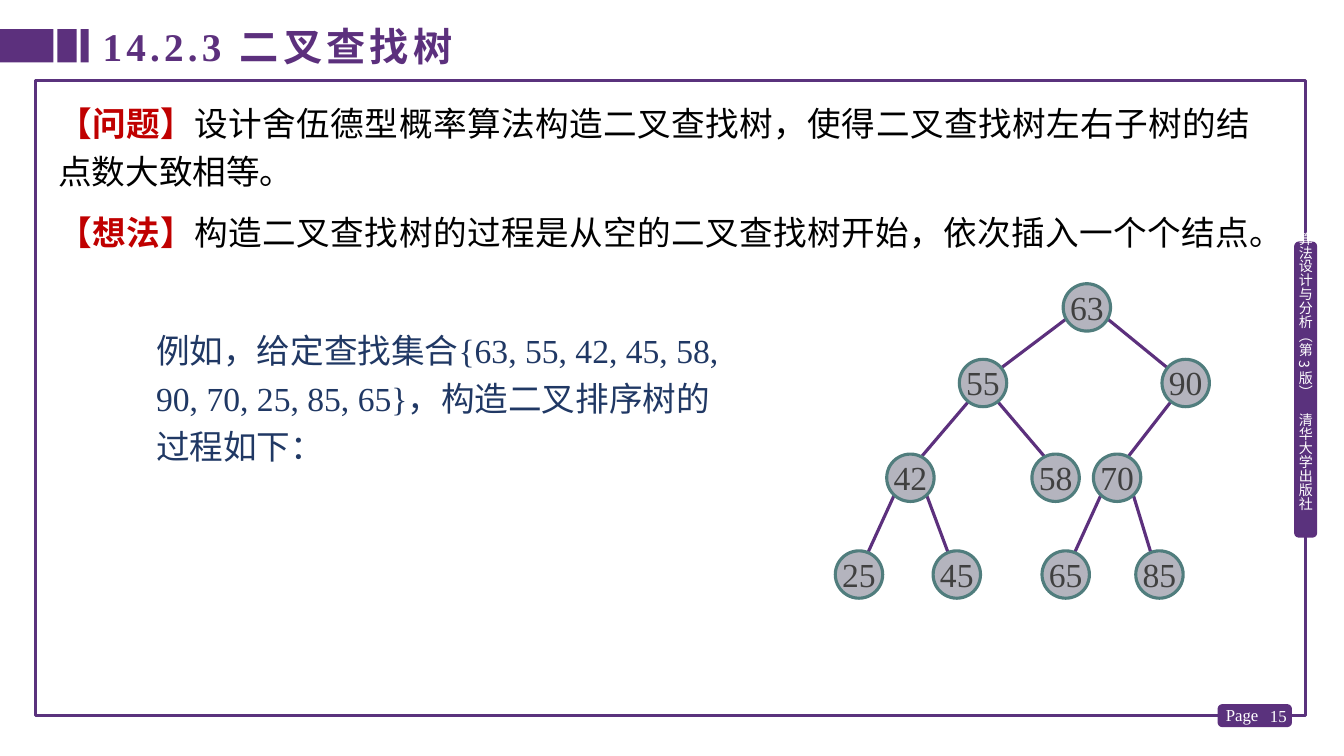
from pptx import Presentation
from pptx.dml.color import RGBColor
from pptx.enum.shapes import MSO_CONNECTOR as Conn, MSO_SHAPE as Kind
from pptx.enum.text import MSO_ANCHOR as Anchor, MSO_AUTO_SIZE as Fit, PP_ALIGN as Align
from pptx.oxml.ns import qn
from pptx.util import Inches, Pt
from lxml import etree

HUE = {"frame": "5A327D", "band": "5C307D", "node": "B4B4BE", "ring": "507D7D",
       "key": "404040", "tag": "C00000", "body": "000000", "note": "203864",
       "white": "FFFFFF"}
SERIF, SANS = "Times New Roman", "Noto Sans CJK SC"

TITLE = "14.2.3 二叉查找树"
PARTS = [
    ("【问题】", "设计舍伍德型概率算法构造二叉查找树，使得二叉查找树左右子树的结点数大致相等。", 0.89, 1.07),
    ("【想法】", "构造二叉查找树的过程是从空的二叉查找树开始，依次插入一个个结点。", 1.97, 0.58),
]
NOTE = "例如，给定查找集合{63, 55, 42, 45, 58, 90, 70, 25, 85, 65}，构造二叉排序树的过程如下："
SIDE = "算法设计与分析（第 3 版）　清华大学出版社"
BARS = [(0, 0.53), (0.57, 0.19), (0.8, 0.08)]

SIZE = 0.47
ROWS = [3.05, 3.8, 4.74, 5.7]
TREE = [
    {63: 10.78},
    {55: 9.75, 90: 11.76},
    {42: 9.03, 58: 10.47, 70: 11.08},
    {25: 8.52, 45: 9.49, 65: 10.57, 85: 11.5},
]
HEIR = {63: (55, 90), 55: (42, 58), 90: (70,), 42: (25, 45), 70: (65, 85)}
ENDS = [(0.2, 0.11, 0.18, 0.15), (0.15, 0.19, 0.11, 0.21), (0.16, 0.17, 0.08, 0.2)]

deck = Presentation()
deck.slide_width, deck.slide_height = Inches(13.33), Inches(7.5)
slide = deck.slides.add_slide(deck.slide_layouts[6])


def tint(name):
    return RGBColor.from_string(HUE[name])


def style(font, size, hue, face=SERIF, bold=False):
    font.size, font.name, font.bold = Pt(size), face, bold
    font.color.rgb = tint(hue)


def draw(kind, box, fill=None, line=None, width=2.25):
    shape = slide.shapes.add_shape(kind, *map(Inches, box))
    shape.shadow.inherit = False
    if fill:
        shape.fill.solid()
        shape.fill.fore_color.rgb = tint(fill)
    else:
        shape.fill.background()
    if line:
        shape.line.color.rgb = tint(line)
        shape.line.width = Pt(width)
    else:
        shape.line.fill.background()
    return shape


def bare(frame):
    frame.margin_left = frame.margin_right = 0
    frame.margin_top = frame.margin_bottom = 0


def write(box, text, size, hue, face=SERIF, bold=False, align=Align.LEFT):
    frame = slide.shapes.add_textbox(*map(Inches, box)).text_frame
    frame.word_wrap = True
    para = frame.paragraphs[0]
    para.text, para.alignment = text, align
    style(para.font, size, hue, face, bold)
    return frame


def link(start, end):
    edge = slide.shapes.add_connector(Conn.STRAIGHT, *map(Inches, start + end))
    edge.line.color.rgb = tint("band")
    edge.line.width = Pt(2.25)
    etree.SubElement(edge._element.spPr, qn("a:effectLst"))


draw(Kind.RECTANGLE, (0.35, 0.8, 12.6, 6.3), line="frame")
draw(Kind.ROUNDED_RECTANGLE, (12.09, 7, 0.71, 0.2), "frame", "band", 2)
page = write((12.45, 6.9, 0.41, 0.4), "15", 12, "white", align=Align.RIGHT)
page.vertical_anchor = Anchor.MIDDLE
write((12.06, 6.94, 0.53, 0.31), "Page", 12, "white")
for left, wide in BARS:
    draw(Kind.RECTANGLE, (left, 0.29, wide, 0.33), "band")
draw(Kind.ROUNDED_RECTANGLE, (12.85, 2.41, 0.2, 2.91), "frame", "band", 2)
side = write((12.86, 2.3, 0.17, 3.14), SIDE, 10, "white", SANS, align=Align.CENTER)
bare(side)
side.auto_size = Fit.SHAPE_TO_FIT_TEXT
side._txBody.bodyPr.set("vert", "eaVert")

head = write((0.92, 0.17, 8.65, 0.57), TITLE, 28, "band", bold=True)
head.paragraphs[0].runs[0].font._element.set("spc", "300")

for tag, text, top, high in PARTS:
    para = write((0.48, top, 12.02, high), "", 24, "body", align=Align.JUSTIFY).paragraphs[0]
    para.line_spacing = 1.2
    for words, hue in ((tag, "tag"), (text, "body")):
        run = para.add_run()
        run.text = words
        style(run.font, 24, hue, bold=hue == "tag")

note = write((1.45, 3.14, 5.97, 1.55), NOTE, 24, "note")
note.paragraphs[0].line_spacing = 1.2

spot = {key: (x, y, rank) for rank, (row, y) in enumerate(zip(TREE, ROWS))
        for key, x in row.items()}
for key, heirs in HEIR.items():
    x, y, rank = spot[key]
    out, down, back, up = ENDS[rank]
    for heir in heirs:
        far, low, _ = spot[heir]
        sign = 1 if heir > key else -1
        link((x + sign * out, y + down), (far - sign * back, low - up))

for key, (x, y, _) in spot.items():
    node = draw(Kind.OVAL, (x - SIZE / 2, y - SIZE / 2, SIZE, SIZE), "node", "ring")
    frame = node.text_frame
    bare(frame)
    frame.word_wrap = False
    frame.vertical_anchor = Anchor.TOP
    para = frame.paragraphs[0]
    para.text, para.alignment, para.line_spacing = str(key), Align.CENTER, Pt(26)
    style(para.font, 24, "key")

deck.save("out.pptx")
